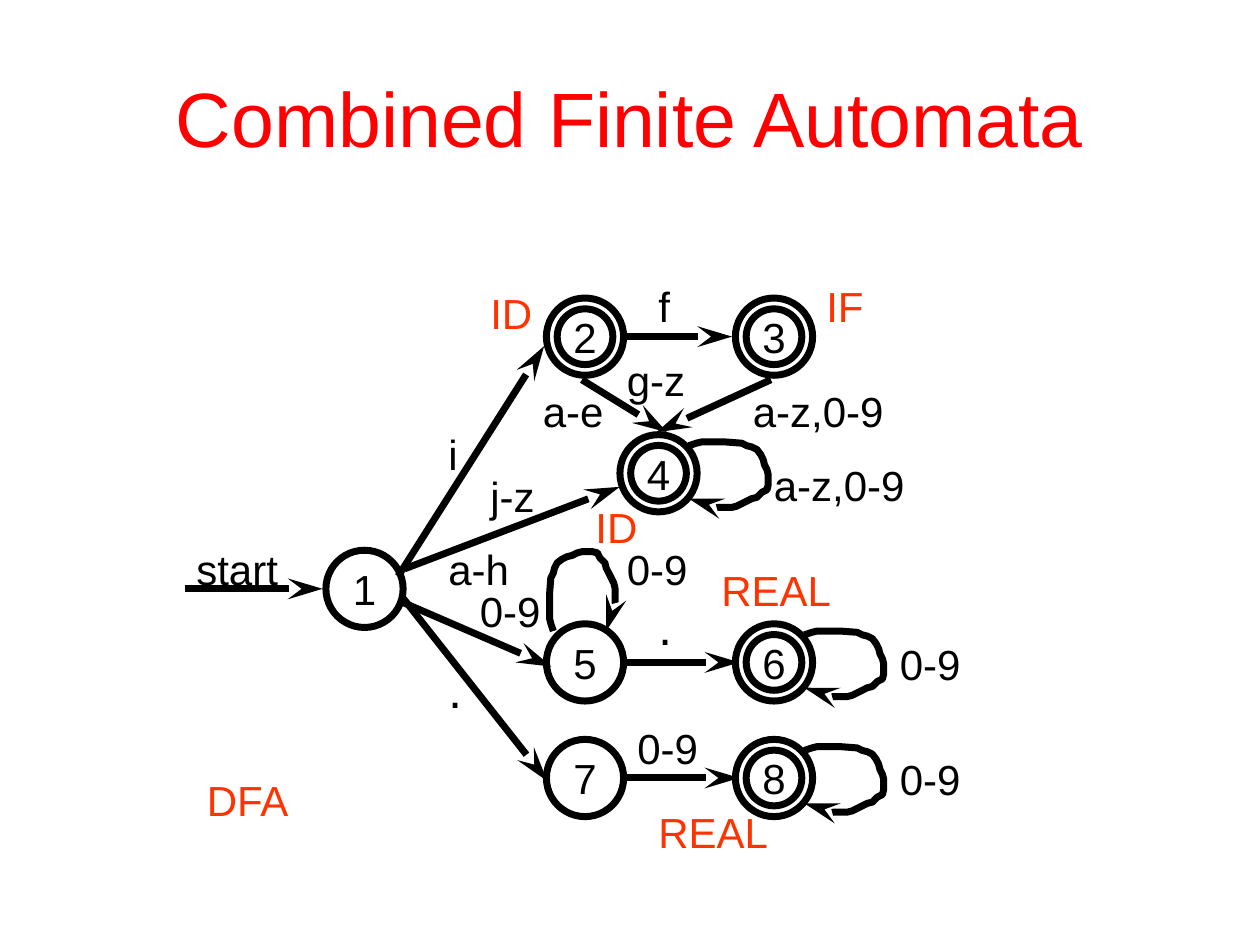
from lxml import etree
from pptx import Presentation
from pptx.dml.color import RGBColor
from pptx.enum.shapes import MSO_CONNECTOR, MSO_SHAPE
from pptx.enum.text import MSO_ANCHOR, PP_ALIGN
from pptx.oxml.ns import qn
from pptx.util import Inches, Pt

OVAL, STRAIGHT = MSO_SHAPE.OVAL, MSO_CONNECTOR.STRAIGHT
MIDDLE, TOP = MSO_ANCHOR.MIDDLE, MSO_ANCHOR.TOP
LEFT, CENTER = PP_ALIGN.LEFT, PP_ALIGN.CENTER

COLORS = {"title": "FF0000", "token": "FF3300", "ink": "000000"}
FONT = "Arial"
COLUMNS, ROWS = 75, 56
STATE_SIZE, ACCEPT_SIZE = 7.35, 5.3

STATES = {
    "1": (17.2, 29.9), "2": (38.2, 5.9), "3": (56.2, 5.9), "4": (45.2, 18.9),
    "5": (38.2, 36.9), "6": (56.2, 36.9), "7": (38.2, 47.9), "8": (56.2, 47.9),
}
ACCEPTING = "23468"
TRANSITIONS = [
    ((0.1, 29.9), (13.2, 29.9)),
    ((20.4, 28.7), (34.3, 6.8)),
    ((21, 28), (41.5, 20.2)),
    ((20.4, 31), (35, 37.3)),
    ((20.8, 30.7), (34.6, 48.2)),
    ((42.1, 5.9), (52.2, 5.9)),
    ((37.9, 10), (46, 15)),
    ((55.9, 10), (45, 15)),
    ((42, 36.9), (52.9, 36.9)),
    ((42, 47.9), (52.9, 47.9)),
]
LOOP_OFFSETS = {0: (-0.2, -6.7), 90: (6.6, 0.2)}
LOOPS = {"4": 90, "5": 0, "6": 90, "8": 90}
LOOP_WIDTH, LOOP_HEIGHT = 53, 64
LOOP_POINTS = [
    (3, 63), (1, 57), (0, 53), (0, 34), (1, 21), (3, 17), (4, 13), (6, 9),
    (10, 6), (14, 4), (18, 3), (22, 1), (26, 0), (34, 0), (38, 1), (40, 5),
    (44, 9), (45, 13), (47, 17), (51, 25), (52, 29), (52, 40), (53, 44),
    (53, 48), (52, 52), (51, 56), (49, 60), (45, 64), (45, 63),
]
LABEL_WIDTHS = {
    "start": 10.5, "i": 3.6, "f": 3.8, "j-z": 6.9, "a-h": 8.5, "a-e": 8.5,
    "g-z": 8.3, "0-9": 8.5, "a-z,0-9": 15.2, ".": 4,
    "IF": 6.3, "ID": 6.8, "REAL": 13.6, "DFA": 10.8,
}
INPUTS = [
    ("start", 0, 25), ("i", 24, 14), ("f", 44, 0), ("j-z", 28, 18),
    ("a-h", 24, 25), ("a-e", 33, 10), ("g-z", 41, 7),
    ("a-z,0-9", 53, 10), ("a-z,0-9", 55, 17),
    ("0-9", 41, 25), ("0-9", 27, 29), ("0-9", 42, 42),
    ("0-9", 67, 34), ("0-9", 67, 45), (".", 24, 36), (".", 44, 30),
]
TOKENS = [
    ("ID", 28, 0.6), ("IF", 60, 0), ("ID", 38, 21),
    ("REAL", 50, 27), ("REAL", 44, 50), ("DFA", 1, 47),
]


def write_text(frame, text, *, size=24, color="ink", align=LEFT, anchor=TOP, wrap=False):
    """Fill a text frame with one formatted paragraph."""
    frame.word_wrap = wrap
    frame.vertical_anchor = anchor
    paragraph = frame.paragraphs[0]
    paragraph.alignment = align
    run = paragraph.add_run()
    run.text = text
    run.font.name = FONT
    run.font.size = Pt(size)
    run.font.color.rgb = RGBColor.from_string(COLORS[color])


def draw_stroke(outline, arrow=False):
    """Give a shape or connector the heavy line, with an arrowhead if asked."""
    outline.line.color.rgb = RGBColor.from_string(COLORS["ink"])
    outline.line.width = Pt(4)
    if arrow:
        stroke = outline._element.spPr.find(qn("a:ln"))
        etree.SubElement(stroke, qn("a:tailEnd"), type="stealth", w="med", len="lg")


def add_ring(shapes, cell, center, size):
    """Draw an unfilled circle of a given size in cells."""
    column, row = center
    ring = shapes.add_shape(OVAL, *cell(column - size / 2, row - size / 2), *cell.size(size, size))
    ring.shadow.inherit = False
    ring.fill.background()
    draw_stroke(ring)
    return ring


def add_state(shapes, cell, number):
    """Draw a numbered state, with a second ring if it accepts."""
    frame = add_ring(shapes, cell, STATES[number], STATE_SIZE).text_frame
    frame.margin_left = frame.margin_right = frame.margin_top = frame.margin_bottom = 0
    write_text(frame, number, align=CENTER, anchor=MIDDLE)
    if number in ACCEPTING:
        add_ring(shapes, cell, STATES[number], ACCEPT_SIZE)


def add_transition(shapes, cell, start, end):
    """Draw a straight arrow between two grid points."""
    arrow = shapes.add_connector(STRAIGHT, *cell(*start), *cell(*end))
    draw_stroke(arrow, arrow=True)
    etree.SubElement(arrow._element.spPr, qn("a:effectLst"))


def add_loop(shapes, cell, number, angle):
    """Draw the arrow from a state to itself, turned by an angle."""
    center = [a + b for a, b in zip(STATES[number], LOOP_OFFSETS[angle])]
    scale = Inches(0.01)
    left, top = cell(*center)
    builder = shapes.build_freeform(*LOOP_POINTS[0], scale=scale)
    builder.add_line_segments(LOOP_POINTS[1:], close=False)
    loop = builder.convert_to_shape(left - scale * LOOP_WIDTH // 2, top - scale * LOOP_HEIGHT // 2)
    loop.shadow.inherit = False
    loop.fill.background()
    loop.rotation = angle
    draw_stroke(loop, arrow=True)


def add_label(shapes, cell, text, column, row, color):
    """Place a label with its top left corner on a grid point."""
    size, height = (28, 6.8) if text == "." else (24, 6)
    label = shapes.add_textbox(*cell(column, row), *cell.size(LABEL_WIDTHS[text], height))
    write_text(label.text_frame, text, size=size, color=color)


class Grid:
    """Turn columns and rows of a box into slide lengths."""

    def __init__(self, left, top, width, height):
        self.left, self.top = left, top
        self.column, self.row = width / COLUMNS, height / ROWS

    def size(self, columns, rows):
        """Return a width and height."""
        return round(columns * self.column), round(rows * self.row)

    def __call__(self, column, row):
        """Return the position of a grid point."""
        across, down = self.size(column, row)
        return self.left + across, self.top + down


def add_title(slide, left, top, width, height):
    """Place and format the slide title."""
    title = slide.shapes.title
    title.left, title.top, title.width, title.height = left, top, width, height
    write_text(title.text_frame, "Combined Finite Automata", size=44, color="title",
               align=CENTER, anchor=MIDDLE, wrap=True)


def add_automaton(slide, left, top, width, height):
    """Draw the states, transitions and labels inside a box."""
    shapes, cell = slide.shapes, Grid(left, top, width, height)
    for number in STATES:
        add_state(shapes, cell, number)
    for start, end in TRANSITIONS:
        add_transition(shapes, cell, start, end)
    for number, angle in LOOPS.items():
        add_loop(shapes, cell, number, angle)
    for color, labels in (("ink", INPUTS), ("token", TOKENS)):
        for text, column, row in labels:
            add_label(shapes, cell, text, column, row, color)


def main():
    """Build and save the slide."""
    deck = Presentation()
    deck.slide_width, deck.slide_height = Inches(10), Inches(7.5)
    slide = deck.slides.add_slide(deck.slide_layouts[5])
    add_title(slide, Inches(0.5), Inches(0.3), Inches(9), Inches(1.25))
    add_automaton(slide, Inches(1.46), Inches(2.18), Inches(6.25), Inches(4.67))
    deck.save("out.pptx")


if __name__ == "__main__":
    main()
